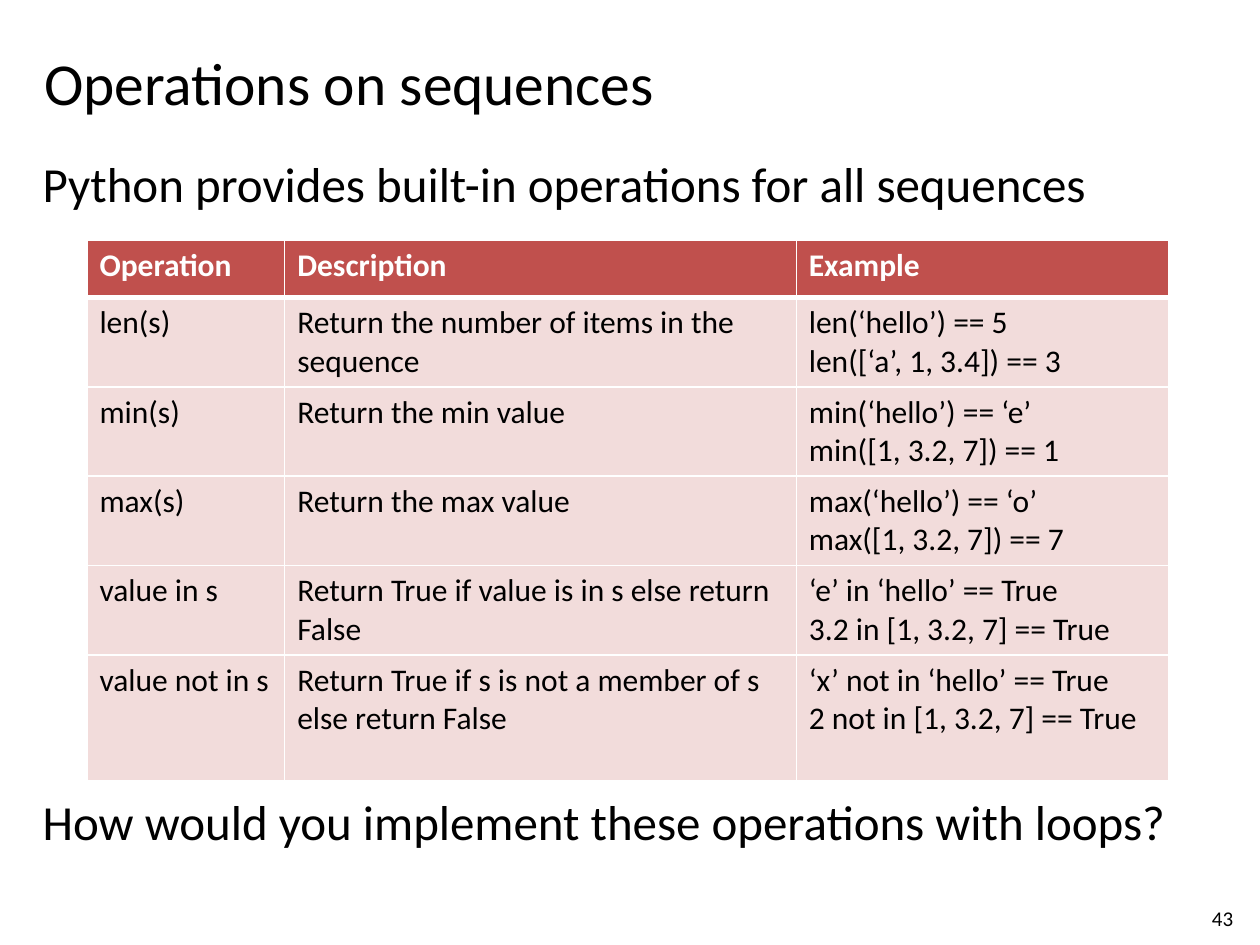
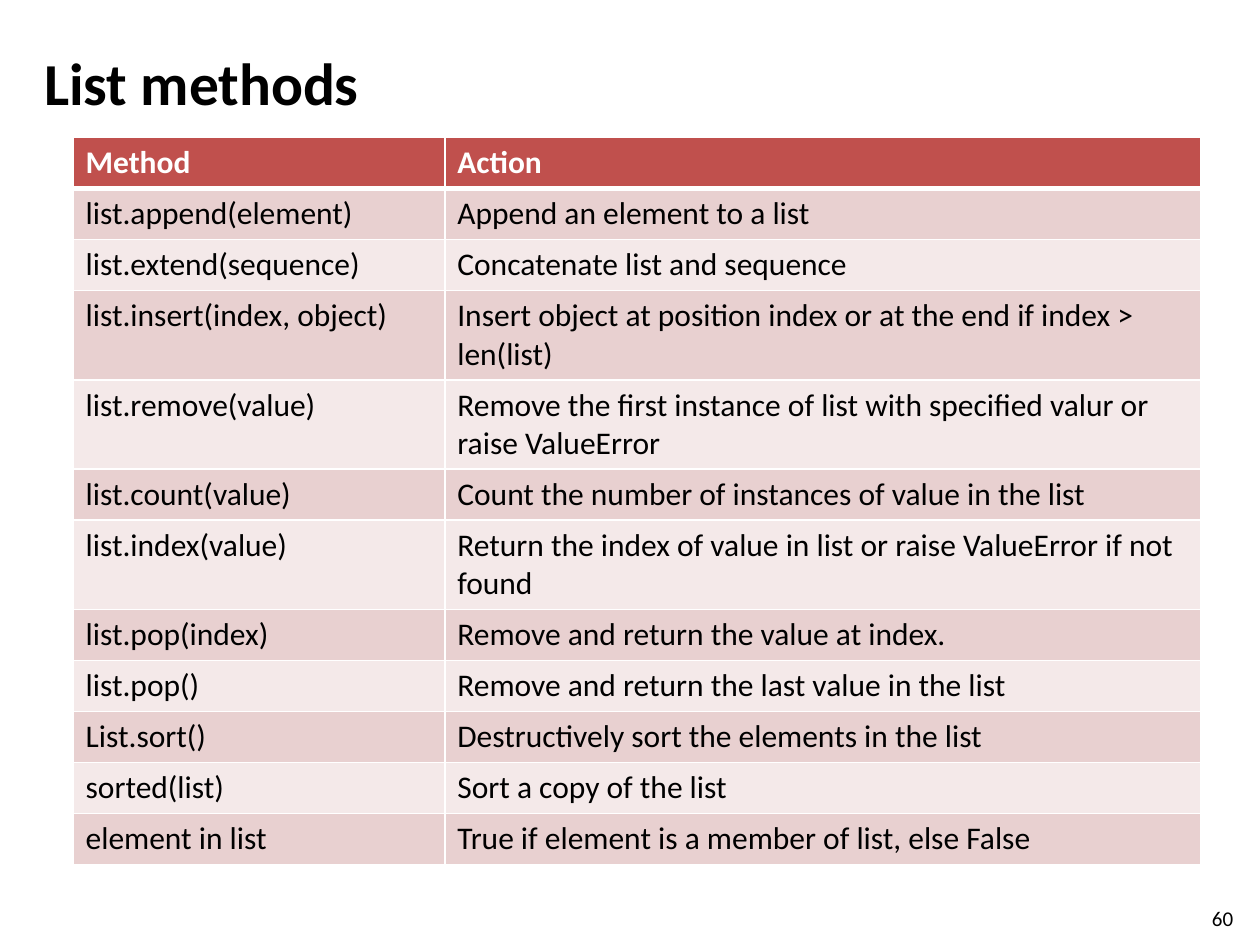
from dataclasses import dataclass

from lxml import etree
from pptx import Presentation
from pptx.dml.color import RGBColor
from pptx.enum.text import MSO_ANCHOR, PP_ALIGN
from pptx.oxml.ns import qn
from pptx.util import Inches, Pt

LEFT = PP_ALIGN.LEFT
TOP = MSO_ANCHOR.TOP
MIDDLE = MSO_ANCHOR.MIDDLE

FONT = "Calibri"
BLACK = "000000"
WHITE = "FFFFFF"
HEADER_RED = "C0504D"
PALE_RED = "F2DCDB"
BAND_DARK = "E8D0D0"
BAND_LIGHT = "F4E9E9"

TITLE_LAYOUT = 5
TABLE_SIZE = 18
BORDER, HEADER_RULE = 1, 3  # points


@dataclass
class TableSpec:
    left: float
    top: float
    col_widths: list[float]
    row_heights: list[float]
    bands: list[str]  # body row fills, used in turn
    rows: list[tuple[str, ...]]


OPERATIONS = TableSpec(
    left=0.69, top=1.91,
    col_widths=[1.57, 4.06, 2.96],
    row_heights=[0.45] + [0.71] * 4 + [1.0],
    bands=[PALE_RED],
    rows=[
        ("Operation", "Description", "Example"),
        ("len(s)", "Return the number of items in the sequence",
         "len(‘hello’) == 5\nlen([‘a’, 1, 3.4]) == 3"),
        ("min(s)", "Return the min value",
         "min(‘hello’) == ‘e’\nmin([1, 3.2, 7]) == 1"),
        ("max(s)", "Return the max value",
         "max(‘hello’) == ‘o’\nmax([1, 3.2, 7]) == 7"),
        ("value in s", "Return True if value is in s else return False",
         "‘e’ in ‘hello’ == True\n3.2 in [1, 3.2, 7] == True"),
        ("value not in s",
         "Return True if s is not a member of s else return False",
         "‘x’ not in ‘hello’ == True\n2 not in [1, 3.2, 7] == True"),
    ],
)

ONE_LINE, TWO_LINES = 0.405, 0.71
TWO_LINE_ROWS = {3, 4, 6}
METHOD_ROWS = [
    ("Method", "Action"),
    ("list.append(element)", "Append an element to a list"),
    ("list.extend(sequence)", "Concatenate list and sequence"),
    ("list.insert(index, object)",
     "Insert object at position index or at the end if index > len(list)"),
    ("list.remove(value)",
     "Remove the first instance of list with specified valur or raise ValueError"),
    ("list.count(value)", "Count the number of instances of value in the list"),
    ("list.index(value)",
     "Return the index of value in list or raise ValueError if not found"),
    ("list.pop(index)", "Remove and return the value at index."),
    ("list.pop()", "Remove and return the last value in the list"),
    ("List.sort()", "Destructively sort the elements in the list"),
    ("sorted(list)", "Sort a copy of the list"),
    ("element in list", "True if element is a member of list, else False"),
]
METHODS = TableSpec(
    left=0.58, top=1.09,
    col_widths=[2.95, 6.0],
    row_heights=[TWO_LINES if i in TWO_LINE_ROWS else ONE_LINE
                 for i in range(len(METHOD_ROWS))],
    bands=[BAND_DARK, BAND_LIGHT],
    rows=METHOD_ROWS,
)


def rgb(color: str) -> RGBColor:
    return RGBColor.from_string(color)


def write(tf, text: str, size: float, color: str = BLACK, bold: bool = False) -> None:
    """Fill a text frame, one paragraph per line, in one format."""
    tf.text = text
    for p in tf.paragraphs:
        p.alignment = LEFT
        for r in p.runs:
            r.font.name = FONT
            r.font.size = Pt(size)
            r.font.bold = bold
            r.font.color.rgb = rgb(color)


def add_text(slide, text: str, left: float, top: float, width: float,
             height: float, size: float) -> None:
    sp = slide.shapes.add_textbox(Inches(left), Inches(top), Inches(width), Inches(height))
    tf = sp.text_frame
    tf.word_wrap = True
    tf.vertical_anchor = TOP
    write(tf, text, size)


def add_titled_slide(prs, title: str, number: int, bold: bool = False):
    slide = prs.slides.add_slide(prs.slide_layouts[TITLE_LAYOUT])
    sp = slide.shapes.title
    sp.left, sp.top = Inches(0.25), Inches(0.3)
    sp.width, sp.height = Inches(8.67), Inches(0.7)
    sp.text_frame.vertical_anchor = MIDDLE
    write(sp.text_frame, title, 34, bold=bold)
    add_text(slide, str(number), 9.52, 7.14, 0.4, 0.24, 12)
    return slide


def set_borders(cell, top: float, bottom: float) -> None:
    """Draw white cell borders; call before the cell gets its fill."""
    tc_pr = cell._tc.get_or_add_tcPr()
    widths = {"a:lnL": BORDER, "a:lnR": BORDER, "a:lnT": top, "a:lnB": bottom}
    for tag, width in widths.items():
        ln = etree.SubElement(tc_pr, qn(tag), w=str(Pt(width)))
        fill = etree.SubElement(ln, qn("a:solidFill"))
        etree.SubElement(fill, qn("a:srgbClr"), val=WHITE)


def add_table(slide, spec: TableSpec) -> None:
    table = slide.shapes.add_table(
        len(spec.rows), len(spec.col_widths), Inches(spec.left), Inches(spec.top),
        Inches(sum(spec.col_widths)), Inches(sum(spec.row_heights))).table
    for col, width in zip(table.columns, spec.col_widths):
        col.width = Inches(width)
    for i, (texts, height) in enumerate(zip(spec.rows, spec.row_heights)):
        table.rows[i].height = Inches(height)
        header = i == 0
        band = HEADER_RED if header else spec.bands[(i - 1) % len(spec.bands)]
        for j, text in enumerate(texts):
            cell = table.cell(i, j)
            set_borders(cell, HEADER_RULE if i == 1 else BORDER,
                        HEADER_RULE if header else BORDER)
            cell.fill.solid()
            cell.fill.fore_color.rgb = rgb(band)
            write(cell.text_frame, text, TABLE_SIZE, WHITE if header else BLACK, header)


def build_operations(prs) -> None:
    slide = add_titled_slide(prs, "Operations on sequences", 43)
    lines = [("Python provides built-in operations for all sequences", 1.17),
             ("How would you implement these operations with loops?", 6.23)]
    for text, top in lines:
        add_text(slide, text, 0.24, top, 9.76, 0.58, 28)
    add_table(slide, OPERATIONS)


def build_methods(prs) -> None:
    slide = add_titled_slide(prs, "List methods", 60, bold=True)
    add_table(slide, METHODS)


def main() -> None:
    prs = Presentation()
    prs.slide_width, prs.slide_height = Inches(10), Inches(7.5)
    build_operations(prs)
    build_methods(prs)
    prs.save("out.pptx")


if __name__ == "__main__":
    main()
